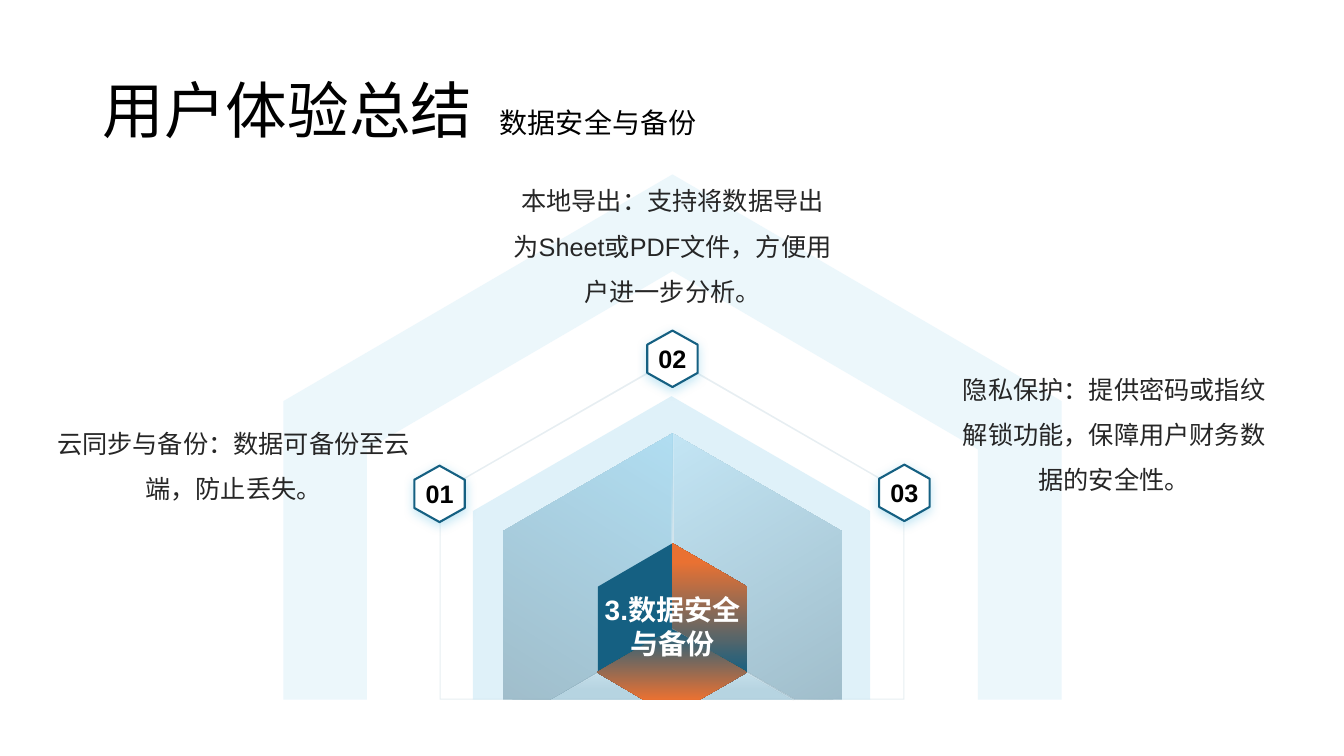
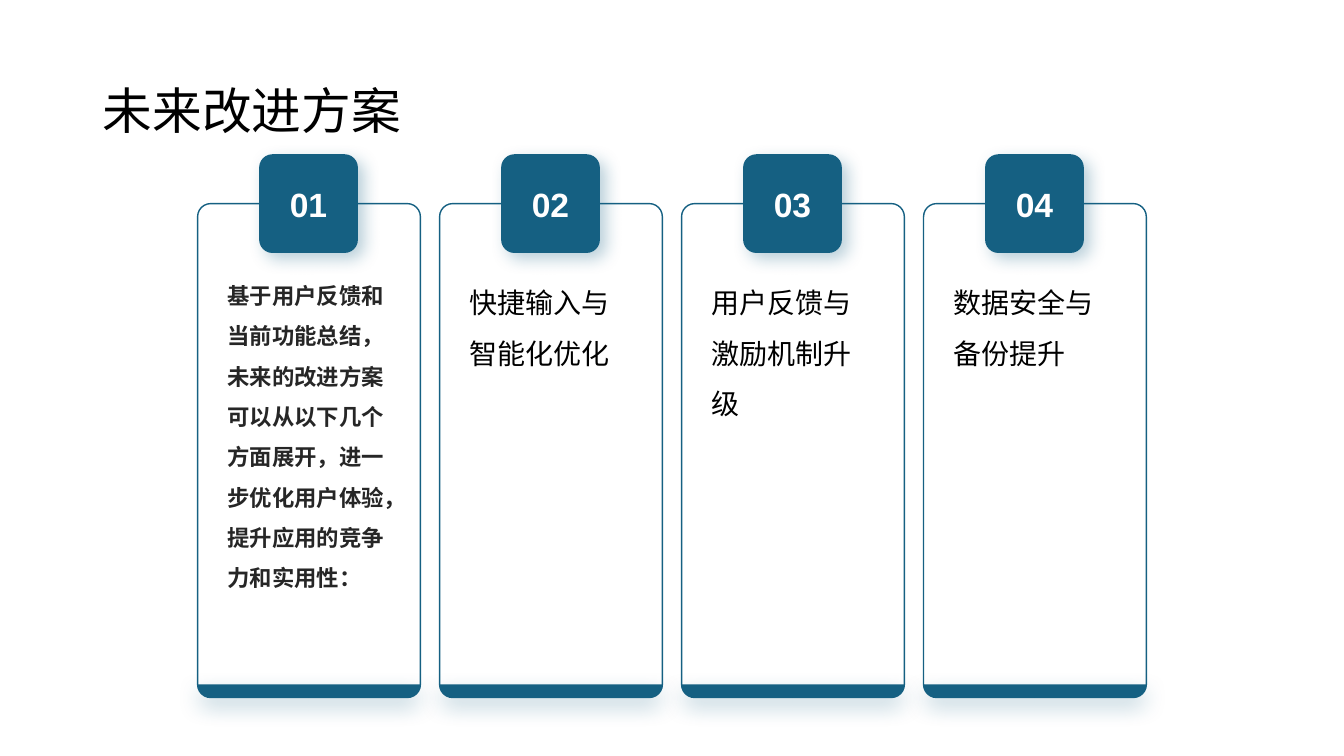
from math import cos, radians, sin

from pptx import Presentation
from pptx.dml.color import RGBColor
from pptx.enum.shapes import MSO_SHAPE
from pptx.enum.text import MSO_ANCHOR as Anchor, PP_ALIGN as Align
from pptx.oxml import parse_xml
from pptx.oxml.ns import nsdecls, qn
from pptx.util import Pt

PX = 9144  # 100 px to the inch
COLORS = {
    "black": "000000",
    "ink": "262626",
    "white": "FFFFFF",
    "teal": "156082",
    "deep": "104862",
    "azure": "46B1E1",
    "sky": "83CBEB",
    "pale": "C1E5F5",
    "orange": "E97132",
    "glow": "0F9ED5",
}
LATIN, CJK = "Arial", "Noto Sans CJK SC"
TITLE_BOX = [edge * PX for edge in (92, 40, 1150, 145)]
TITLE_MARGINS = (10, 5, 10, 5)


def decorate(shape, stops, angle=0, line=None, shadow=None):
    """Fill with stops (position %, colour, opacity %); shadow is colour, opacity, blur, distance, angle."""
    shape.shadow.inherit = False
    shape.fill.solid()
    if line:
        shape.line.color.rgb = RGBColor.from_string(COLORS["teal"])
        shape.line.width = Pt(line)
    else:
        shape.line.fill.background()
    properties = shape._element.spPr
    tints = [
        f'<a:srgbClr val="{COLORS[color]}"><a:alpha val="{opacity * 1000}"/></a:srgbClr>'
        for _, color, opacity in stops
    ]
    if len(stops) == 1:
        fill = f'<a:solidFill {nsdecls("a")}>{tints[0]}</a:solidFill>'
    else:
        marks = "".join(
            f'<a:gs pos="{stop[0] * 1000}">{tint}</a:gs>' for stop, tint in zip(stops, tints)
        )
        fill = (
            f'<a:gradFill {nsdecls("a")} rotWithShape="1"><a:gsLst>{marks}</a:gsLst>'
            f'<a:lin ang="{angle * 60000}" scaled="0"/></a:gradFill>'
        )
    properties.replace(properties.find(qn("a:solidFill")), parse_xml(fill))
    if shadow:
        color, opacity, blur, distance, direction = shadow
        properties.find(qn("a:effectLst")).append(parse_xml(
            f'<a:outerShdw {nsdecls("a")} blurRad="{Pt(blur)}" dist="{Pt(distance)}" '
            f'dir="{direction * 60000}" algn="ctr" rotWithShape="0">'
            f'<a:srgbClr val="{COLORS[color]}"><a:alpha val="{opacity * 1000}"/></a:srgbClr>'
            f'</a:outerShdw>'
        ))


def write(shape, text, size, color, bold=False, font=LATIN, align=Align.CENTER,
          anchor=Anchor.MIDDLE, margins=(0, 0, 0, 0), spacing=1.0):
    """Set the text of a shape and return its paragraph."""
    frame = shape.text_frame
    frame.word_wrap = True
    frame.vertical_anchor = anchor
    frame.margin_left, frame.margin_top, frame.margin_right, frame.margin_bottom = (
        margin * PX for margin in margins
    )
    paragraph = frame.paragraphs[0]
    paragraph.add_run().text = text
    paragraph.alignment = align
    paragraph.line_spacing = spacing
    paragraph.font.size = Pt(size)
    paragraph.font.bold = bold
    paragraph.font.name = font
    paragraph.font.color.rgb = RGBColor.from_string(COLORS[color])
    defaults = paragraph._p.pPr.find(qn("a:defRPr"))
    defaults.append(parse_xml(f'<a:ea {nsdecls("a")} typeface="{CJK}"/>'))
    return paragraph


prs = Presentation()
prs.slide_width, prs.slide_height = 1333 * PX, 750 * PX
blank = prs.slide_layouts[6]
summary, plans = prs.slides.add_slide(blank), prs.slides.add_slide(blank)

headings = []
for slide, heading, size in ((summary, "用户体验总结", 44), (plans, "未来改进方案", 35.5)):
    headings.append(write(
        slide.shapes.add_textbox(*TITLE_BOX), heading, size, "black", font=CJK,
        align=Align.LEFT, margins=TITLE_MARGINS, spacing=0.9,
    ))

# Subtitle on the summary's title line, set off by a tab stop
subtitle = headings[0].add_run()
subtitle.text = "\t数据安全与备份"
subtitle.font.size = Pt(20)
headings[0]._p.pPr.find(qn("a:defRPr")).addprevious(parse_xml(
    f'<a:tabLst {nsdecls("a")}><a:tab pos="{394 * PX}" algn="l"/></a:tabLst>'
))

# Summary: nested houses, glass panes with rims, and a cube; halves mirror on the axis
AXIS = 667
track = [
    [(436, 694), (436, 488), (667, 355), (897, 488), (897, 694)],
    [(896, 693), (437, 693), (437, 489), (667, 357), (896, 489)],
]
arch = [[
    (667, 173), (281, 398), (281, 694), (364, 694), (364, 446), (667, 269),
    (970, 446), (970, 694), (1053, 694), (1053, 398),
]]
house = [[(863, 694), (469, 694), (469, 507), (666, 393), (863, 507)]]
pane = [[(546, 694), (499, 694), (499, 527), (667, 430), (667, 624)]]
rim = [
    [(668, 428), (668, 625), (546, 695), (498, 695), (498, 527)],
    [(499, 528), (499, 693), (546, 693), (666, 624), (666, 430)],
]
cube_side = [[(667, 625), (593, 668), (593, 582), (667, 539)]]
floor = [[(788, 694), (546, 694), (667, 624)]]
cube_base = [[(694, 694), (638, 694), (592, 667), (666, 624), (741, 667)]]
teal_to_orange = [(0, "teal", 100), (86, "orange", 100)]
layers = [
    (track, False, [(0, "teal", 10)], 0),
    (arch, False, [(0, "pale", 30)], 0),
    (house, False, [(0, "pale", 50)], 0),
    (pane, False, [(0, "deep", 30), (100, "azure", 30)], 302),
    (pane, True, [(0, "deep", 30), (100, "sky", 30)], 239),
    (rim, False, [(0, "white", 100), (42, "white", 0)], 201),
    (rim, True, [(0, "white", 100), (46, "white", 0)], 323),
    (cube_side, False, [(0, "teal", 100)], 0),
    (cube_side, True, teal_to_orange, 270),
    (floor, False, [(29, "pale", 20), (86, "teal", 20)], 90),
    (cube_base, False, [(0, "teal", 100), (100, "orange", 100)], 90),
]
for contours, mirrored, stops, angle in layers:
    if mirrored:
        contours = [[(2 * AXIS - x, y) for x, y in contour] for contour in contours]
    builder = summary.shapes.build_freeform(*contours[0][0], scale=PX)
    builder.add_line_segments(contours[0][1:])
    for contour in contours[1:]:
        builder.move_to(*contour[0])
        builder.add_line_segments(contour[1:])
    decorate(builder.convert_to_shape(), stops, angle)

core = summary.shapes.add_textbox(598 * PX, 557 * PX, 138 * PX, 129 * PX)
write(core, "3.数据安全与备份", 20, "white", bold=True)

# Number, badge centre, caption box (left, top, width), caption
points = [
    ("01", (436, 490), (52, 389, 359), "云同步与备份：数据可备份至云端，防止丢失。"),
    ("02", (667, 356), (506, 193, 322), "本地导出：支持将数据导出为Sheet或PDF文件，方便用户进一步分析。"),
    ("03", (897, 489), (944, 380, 322), "隐私保护：提供密码或指纹解锁功能，保障用户财务数据的安全性。"),
]
hexagon = [(0, -28), (-25, -14), (-25, 14), (0, 28), (25, 14), (25, -14)]
for number, (center_x, center_y), (left, top, width), caption in points:
    caption_box = summary.shapes.add_textbox(left * PX, top * PX, width * PX, 111 * PX)
    write(caption_box, caption, 18, "ink", anchor=Anchor.BOTTOM, spacing=1.5)
    corners = [(center_x + dx, center_y + dy) for dx, dy in hexagon]
    builder = summary.shapes.build_freeform(*corners[0], scale=PX)
    builder.add_line_segments(corners[1:])
    badge = builder.convert_to_shape()
    decorate(badge, [(0, "white", 100)], line=1.5, shadow=("glow", 25, 8, 2, 90))
    write(badge, number, 18, "black", bold=True)

# Plans: four cards with a rounded foot and a number tab
CARD_LEFT, CARD_TOP, CARD_WIDTH, CARD_HEIGHT, PITCH = 196, 202, 221, 490, 240
RADIUS, TAB_SIZE = 13, 98
FOOT_TOP = CARD_TOP + CARD_HEIGHT - RADIUS
lead = dict(size=16, color="ink", bold=True)
topic = dict(size=20, color="black", font=CJK)
cards = [
    ("基于用户反馈和当前功能总结，未来的改进方案可以从以下几个方面展开，进一步优化用户体验，提升应用的竞争力和实用性：", lead),
    ("快捷输入与智能化优化", topic),
    ("用户反馈与激励机制升级", topic),
    ("数据安全与备份提升", topic),
]
for index, (plan, style) in enumerate(cards):
    left = CARD_LEFT + index * PITCH
    card = plans.shapes.add_shape(
        MSO_SHAPE.ROUNDED_RECTANGLE, left * PX, CARD_TOP * PX, CARD_WIDTH * PX, CARD_HEIGHT * PX
    )
    card.adjustments[0] = RADIUS / CARD_WIDTH
    decorate(card, [(0, "white", 15)], line=1)
    write(card, plan, align=Align.LEFT, anchor=Anchor.TOP, margins=(26, 61, 26, 28),
          spacing=1.5, **style)

    builder = plans.shapes.build_freeform(left * PX, FOOT_TOP * PX)
    for arc_x, first in ((left + CARD_WIDTH - RADIUS, 0), (left + RADIUS, 90)):
        builder.add_line_segments([
            ((arc_x + RADIUS * cos(radians(turn))) * PX,
             (FOOT_TOP + RADIUS * sin(radians(turn))) * PX)
            for turn in range(first, first + 91, 15)
        ], close=False)
    foot = builder.convert_to_shape()
    decorate(foot, [(0, "teal", 100)], shadow=("teal", 30, 16, 6, 90))

    tab = plans.shapes.add_shape(
        MSO_SHAPE.ROUNDED_RECTANGLE, (left + (CARD_WIDTH - TAB_SIZE) // 2) * PX, 153 * PX,
        TAB_SIZE * PX, TAB_SIZE * PX,
    )
    tab.adjustments[0] = 0.135
    decorate(tab, [(0, "teal", 100)], shadow=("teal", 30, 12, 6, 45))
    write(tab, f"{index + 1:02d}", 24, "white", bold=True)

prs.save("out.pptx")
